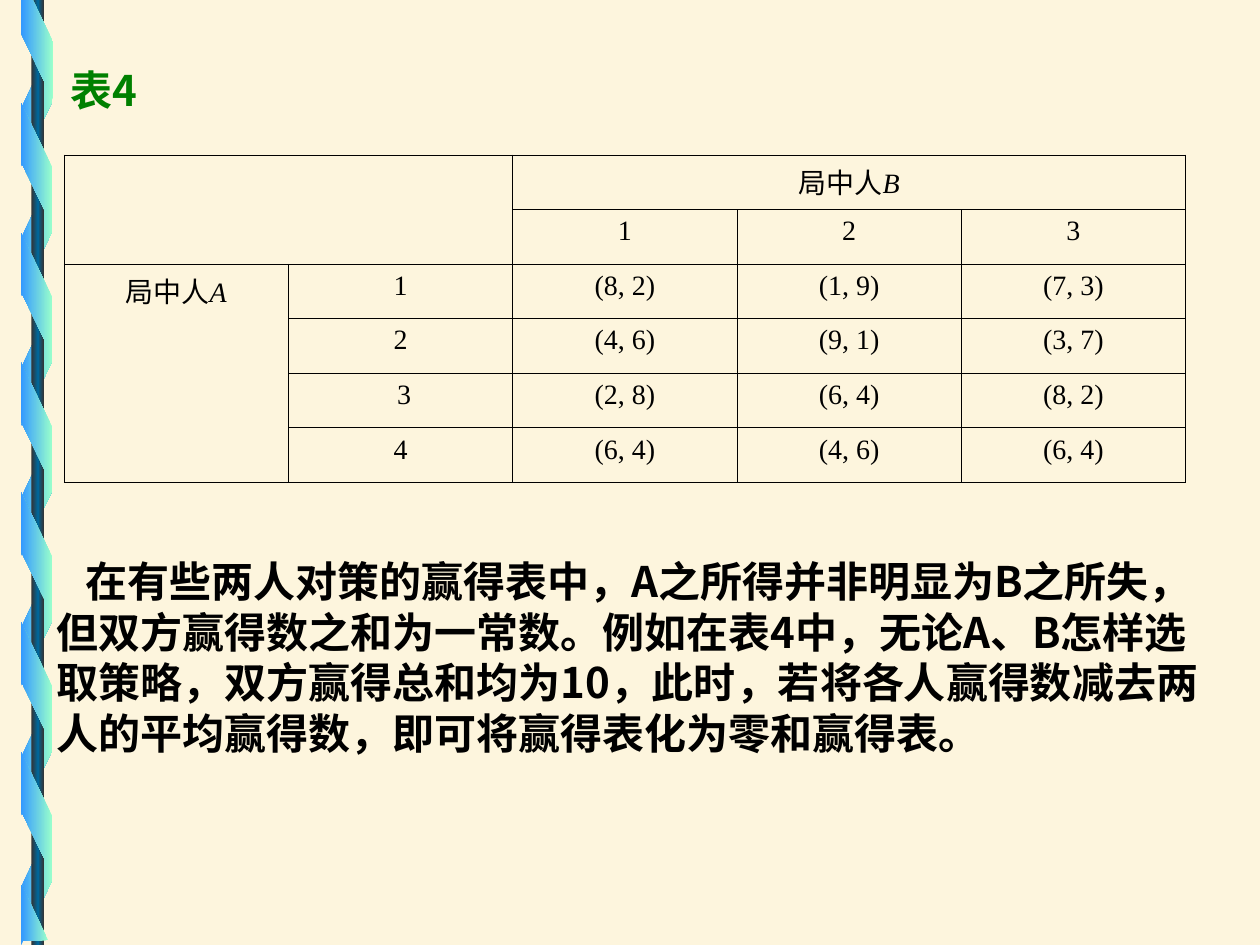
from copy import deepcopy

from lxml.etree import SubElement
from pptx import Presentation
from pptx.dml.color import RGBColor
from pptx.enum.shapes import MSO_SHAPE
from pptx.enum.text import MSO_ANCHOR, MSO_AUTO_SIZE, PP_ALIGN
from pptx.oxml import parse_xml
from pptx.oxml.ns import nsdecls, qn
from pptx.util import Inches, Pt

CREAM = RGBColor(0xFD, 0xF5, 0xDD)
BLACK = RGBColor(0, 0, 0)
GREEN = RGBColor(0, 0x80, 0)
BLUE = RGBColor(0x33, 0x99, 0xFF)
MINT = RGBColor(0x99, 0xFF, 0xCC)
GRAY = RGBColor(0x33, 0x33, 0x33)
TEAL = RGBColor(0, 0x66, 0x99)
SANS, SERIF = "Noto Sans CJK SC", "Times New Roman"


def write(para, text, size=24, face=SANS, ink=BLACK, bold=False, italic=False):
    run = para.add_run()
    run.text = text
    font = run.font
    font.size, font.name, font.bold, font.italic = Pt(size), face, bold, italic
    font.color.rgb = ink
    SubElement(run._r.get_or_add_rPr(), qn("a:ea"), typeface=SANS)


def blend(shape, *inks):
    """Fill a borderless shape with evenly spaced colours from right to left."""
    shape.shadow.inherit = False
    shape.line.fill.background()
    shape.fill.gradient()
    shape.fill.gradient_angle = 180
    grad = shape._element.spPr.find(qn("a:gradFill"))
    grad.set("rotWithShape", "0")
    stops = grad.find(qn("a:gsLst"))
    while len(stops) < len(inks):
        stops.append(deepcopy(stops[0]))
    for n, (stop, ink) in enumerate(zip(shape.fill.gradient_stops, inks)):
        stop.color.rgb = ink
        stop.position = n / (len(inks) - 1)


deck = Presentation()
deck.slide_width, deck.slide_height = Inches(10), Inches(7.5)
wide, high = deck.slide_width, deck.slide_height
slide = deck.slides.add_slide(deck.slide_layouts[5])
slide.background.fill.solid()
slide.background.fill.fore_color.rgb = CREAM
shapes = slide.shapes

# Ribbon wound around a pole: back folds, pole, front folds
pitch, long, thin = Inches(1.03), Inches(0.98), Inches(0.25)
left = Inches(-0.2)
for turn, first, count, skew, inks in (
    (90, 0.71, 7, 2.08, (BLUE, MINT)),
    (270, 1.18, 6, 2.06, (MINT, BLUE)),
):
    if turn == 270:
        pole = shapes.add_shape(MSO_SHAPE.RECTANGLE, Inches(0.25), 0, Inches(0.1), high)
        blend(pole, GRAY, TEAL, GRAY)
    for n in range(count):
        top = Inches(first) + n * pitch
        fold = shapes.add_shape(MSO_SHAPE.PARALLELOGRAM, left, top, long, thin)
        fold.rotation = turn
        fold.adjustments[0] = skew
        if turn == 90:
            fold._element.spPr.xfrm.set("flipH", "1")
        blend(fold, *inks)

# Cut ends of the ribbon, in hundredths of an inch
for start, *rest in (
    ((17, -2), (17, 27), (42, 79), (42, 33), (25, -2)),
    ((38, 746), (17, 702), (17, 747)),
):
    edge = shapes.build_freeform(*start, scale=Inches(0.01))
    edge.add_line_segments(rest, close=True)
    blend(edge.convert_to_shape(), MINT, BLUE)

# Title and body
title = shapes.title
title.left, title.top = int(wide * 0.046), int(high * 0.06)
title.width, title.height = int(wide * 0.09), int(high * 0.07)
body = shapes.add_textbox(
    int(wide * 0.035), int(high * 0.58), int(wide * 0.93), int(high * 0.23)
)
for box, wrap, text, ink in (
    (title, False, "表4", GREEN),
    (
        body,
        True,
        "在有些两人对策的赢得表中，A之所得并非明显为B之所失，但双方赢得数之和为一常数。"
        "例如在表4中，无论A、B怎样选取策略，双方赢得总和均为10，此时，"
        "若将各人赢得数减去两人的平均赢得数，即可将赢得表化为零和赢得表。",
        BLACK,
    ),
):
    frame = box.text_frame
    frame.word_wrap = wrap
    frame.auto_size = MSO_AUTO_SIZE.SHAPE_TO_FIT_TEXT
    frame.vertical_anchor = MSO_ANCHOR.MIDDLE
    para = frame.paragraphs[0]
    para.alignment = PP_ALIGN.LEFT
    write(para, text, ink=ink, bold=True)
props = body.text_frame.paragraphs[0]._p.get_or_add_pPr()
props.set("indent", str(Inches(0.23)))
props.set("hangingPunct", "0")

# Payoff table
rows = (
    ("", "", "局中人B", "", ""),
    ("", "", "1", "2", "3"),
    ("局中人A", "1", "(8, 2)", "(1, 9)", "(7, 3)"),
    ("", "2", "(4, 6)", "(9, 1)", "(3, 7)"),
    ("", " 3", "(2, 8)", "(6, 4)", "(8, 2)"),
    ("", "4", "(6, 4)", "(4, 6)", "(6, 4)"),
)
col, row = Inches(1.78), Inches(2.6 / 6)
table = shapes.add_table(
    6, 5, Inches(0.51), Inches(1.23), 5 * col, 6 * row
).table
table.first_row = table.horz_banding = False
for r, texts in enumerate(rows):
    table.rows[r].height = row
    for c, text in enumerate(texts):
        cell = table.cell(r, c)
        cell.fill.background()
        props = cell._tc.get_or_add_tcPr()
        for n, side in enumerate(("lnL", "lnR", "lnT", "lnB")):
            props.insert(n, parse_xml(
                f'<a:{side} {nsdecls("a")} w="{Pt(0.45)}"><a:solidFill>'
                f'<a:srgbClr val="{BLACK}"/></a:solidFill></a:{side}>'
            ))
        para = cell.text_frame.paragraphs[0]
        para.alignment = PP_ALIGN.CENTER
        para.font.size = Pt(16)
        if text.startswith("局中人"):
            write(para, text[:-1], size=16, face=SERIF)
            write(para, text[-1], size=16, face=SERIF, italic=True)
        elif text:
            write(para, text, size=16, face=SERIF)
for r, c, end, last in ((0, 0, 1, 1), (0, 2, 0, 4), (2, 0, 5, 0)):
    table.cell(r, c).merge(table.cell(end, last))

deck.save("out.pptx")
